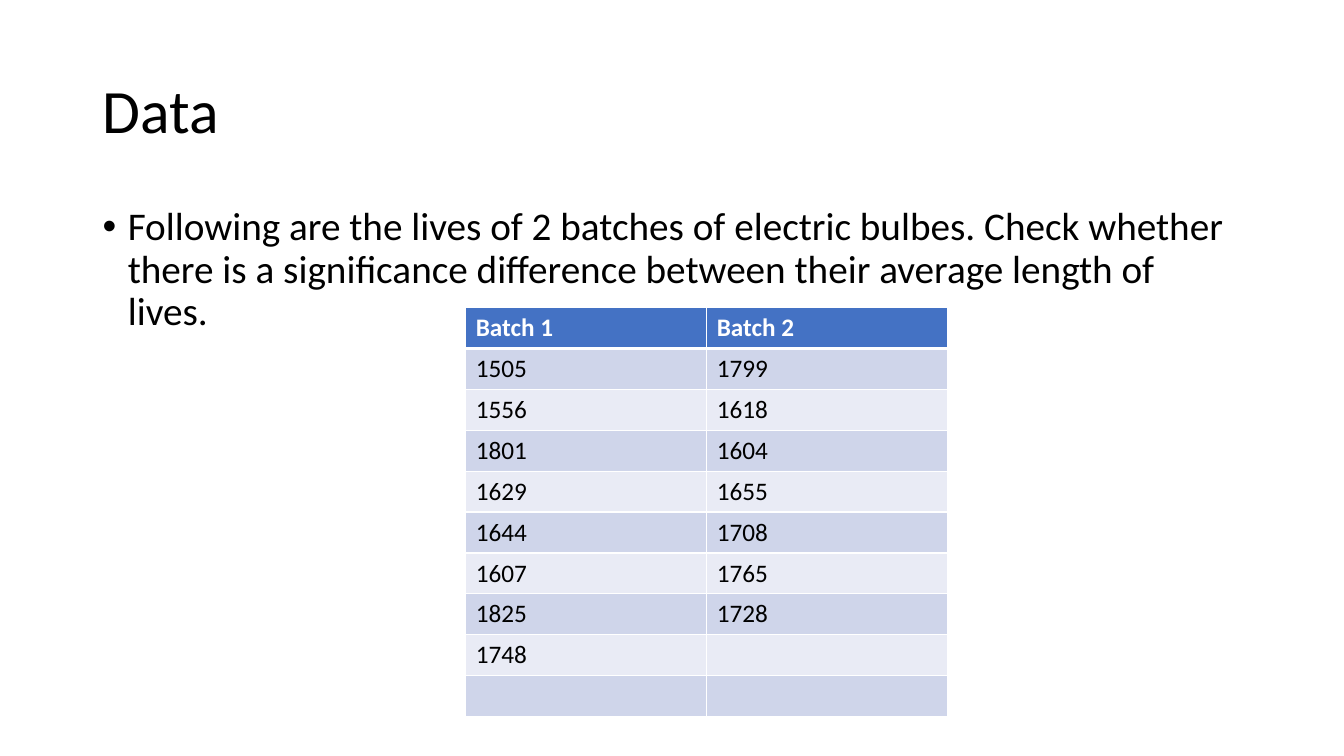
from itertools import zip_longest

from lxml.etree import SubElement
from pptx import Presentation
from pptx.dml.color import RGBColor
from pptx.enum.text import MSO_ANCHOR
from pptx.oxml.ns import qn
from pptx.util import Inches, Pt

HUES = {"ink": "000000", "paper": "FFFFFF", "head": "4472C4",
        "odd": "CFD5EA", "even": "E9EBF5"}
FONT = "Calibri"
WIDE, HIGH = Inches(13.33), Inches(7.5)

TASK = ("Following are the lives of 2 batches of electric bulbes. Check whether "
        "there is a significance difference between their average length of lives.")
LIVES = {
    "Batch 1": [1505, 1556, 1801, 1629, 1644, 1607, 1825, 1748],
    "Batch 2": [1799, 1618, 1604, 1655, 1708, 1765, 1728],
}


def style(para, size, hue="ink", bold=False):
    for run in para.runs:
        run.font.name = FONT
        run.font.size = Pt(size)
        run.font.bold = bold
        run.font.color.rgb = RGBColor.from_string(HUES[hue])


def write(slide, box, text, size, anchor):
    frame = slide.shapes.add_textbox(*box).text_frame
    frame.word_wrap = True
    frame.vertical_anchor = anchor
    frame.text = text
    para = frame.paragraphs[0]
    para.line_spacing = 0.9
    style(para, size)
    return para


# Heading
def title(slide, box):
    write(slide, box, "Data", 44, MSO_ANCHOR.MIDDLE)


# Bulleted task
def task(slide, box):
    para = write(slide, box, TASK, 28, MSO_ANCHOR.TOP)
    para.space_before = Pt(10)
    props = para._p.get_or_add_pPr()
    props.set("marL", str(Inches(0.25)))
    props.set("indent", str(-Inches(0.25)))
    SubElement(props, qn("a:buFont"), typeface="Arial")
    SubElement(props, qn("a:buChar"), char="•")


def edge(cell, base):
    props = cell._tc.get_or_add_tcPr()
    for side, width in (("L", 1), ("R", 1), ("T", 1), ("B", base)):
        line = SubElement(props, qn("a:ln" + side), w=str(Pt(width)))
        fill = SubElement(line, qn("a:solidFill"))
        SubElement(fill, qn("a:srgbClr"), val=HUES["paper"])


# Table of bulb lives, closed by an empty row
def table(slide, box):
    rows = [list(LIVES), *zip_longest(*LIVES.values(), fillvalue=""),
            [""] * len(LIVES)]
    grid = slide.shapes.add_table(len(rows), len(LIVES), *box).table
    for r, row in enumerate(rows):
        top = r == 0
        band = "head" if top else "odd" if r % 2 else "even"
        for c, value in enumerate(row):
            cell = grid.cell(r, c)
            edge(cell, 3 if top else 1)
            cell.fill.solid()
            cell.fill.fore_color.rgb = RGBColor.from_string(HUES[band])
            cell.text = str(value)
            style(cell.text_frame.paragraphs[0], 18,
                  "paper" if top else "ink", top)


def share(left, top, width, height):
    """Turn shares of the slide into a box."""
    return (int(left * WIDE), int(top * HIGH),
            int(width * WIDE), int(height * HIGH))


deck = Presentation()
deck.slide_width, deck.slide_height = WIDE, HIGH
page = deck.slides.add_slide(deck.slide_layouts[6])
title(page, share(0.069, 0.053, 0.863, 0.193))
task(page, share(0.069, 0.267, 0.863, 0.635))
table(page, share(0.3466, 0.4067, 0.3586, 0.5413))
deck.save("out.pptx")
